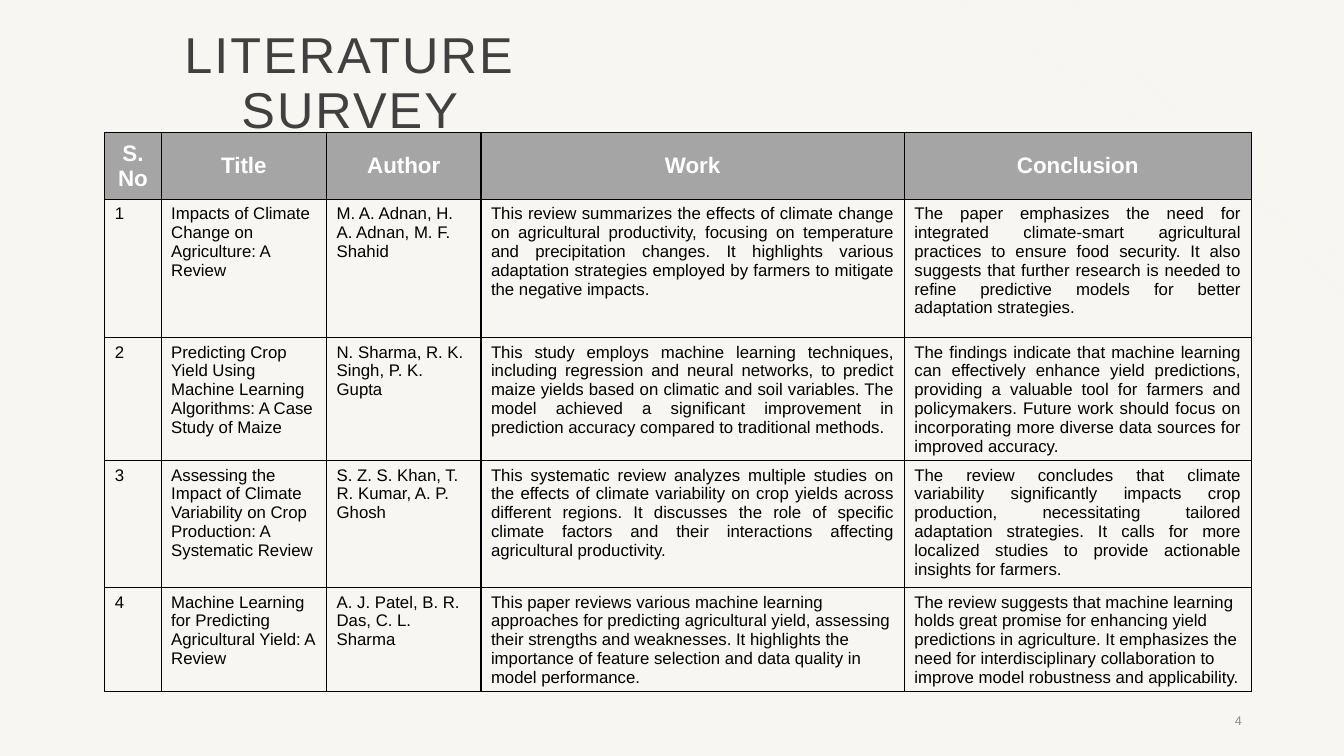
import pptx
import pptx.dml.color
import pptx.enum.shapes
import pptx.enum.text
import pptx.oxml
import pptx.oxml.ns
import pptx.util

Cm = pptx.util.Cm
Pt = pptx.util.Pt
Align = pptx.enum.text.PP_ALIGN
Anchor = pptx.enum.text.MSO_ANCHOR

COLUMN_WIDTHS = [1.42, 4.17, 3.89, 10.67, 8.74]
ROW_HEIGHTS = [1.7, 3.48, 2.84, 3.2, 2.57]
HEADINGS = ["S. No", "Title", "Author", "Work", "Conclusion"]
PAPERS = [
    ("Impacts of Climate Change on Agriculture: A Review",
     "M. A. Adnan, H. A. Adnan, M. F. Shahid",
     "This review summarizes the effects of climate change on agricultural productivity, "
     "focusing on temperature and precipitation changes. It highlights various adaptation "
     "strategies employed by farmers to mitigate the negative impacts.",
     "The paper emphasizes the need for integrated climate-smart agricultural practices to "
     "ensure food security. It also suggests that further research is needed to refine "
     "predictive models for better adaptation strategies."),
    ("Predicting Crop Yield Using Machine Learning Algorithms: A Case Study of Maize",
     "N. Sharma, R. K. Singh, P. K. Gupta",
     "This study employs machine learning techniques, including regression and neural "
     "networks, to predict maize yields based on climatic and soil variables. The model "
     "achieved a significant improvement in prediction accuracy compared to traditional "
     "methods.",
     "The findings indicate that machine learning can effectively enhance yield predictions, "
     "providing a valuable tool for farmers and policymakers. Future work should focus on "
     "incorporating more diverse data sources for improved accuracy."),
    ("Assessing the Impact of Climate Variability on Crop Production: A Systematic Review",
     "S. Z. S. Khan, T. R. Kumar, A. P. Ghosh",
     "This systematic review analyzes multiple studies on the effects of climate variability "
     "on crop yields across different regions. It discusses the role of specific climate "
     "factors and their interactions affecting agricultural productivity.",
     "The review concludes that climate variability significantly impacts crop production, "
     "necessitating tailored adaptation strategies. It calls for more localized studies to "
     "provide actionable insights for farmers."),
    ("Machine Learning for Predicting Agricultural Yield: A Review",
     "A. J. Patel, B. R. Das, C. L. Sharma",
     "This paper reviews various machine learning approaches for predicting agricultural "
     "yield, assessing their strengths and weaknesses. It highlights the importance of "
     "feature selection and data quality in model performance.",
     "The review suggests that machine learning holds great promise for enhancing yield "
     "predictions in agriculture. It emphasizes the need for interdisciplinary collaboration "
     "to improve model robustness and applicability."),
]


def rgb(value):
    """Return the colour for a hex string."""
    return pptx.dml.color.RGBColor.from_string(value)


def write(frame, text, size, color, align, anchor, bold=False):
    """Fill a text frame with one formatted paragraph and return the paragraph."""
    frame.text = text
    frame.word_wrap = True
    frame.vertical_anchor = anchor
    paragraph = frame.paragraphs[0]
    paragraph.alignment = align
    font = paragraph.runs[0].font
    font.name, font.size, font.bold = "Arial", Pt(size), bold
    font.color.rgb = rgb(color)
    return paragraph


def add_corner_lines(slide, left, top, width, height):
    """Draw two faint slanting lines that end at the right edge of the box."""
    for start, drop in [(0, height * 0.87), (width * 0.295, height)]:
        ray = slide.shapes.add_connector(
            pptx.enum.shapes.MSO_CONNECTOR.STRAIGHT,
            Cm(left + start), Cm(top), Cm(left + width), Cm(top + drop))
        ray.line.color.rgb = rgb("FBF4EF")
        ray.line.width = Pt(0.5)
        pptx.oxml.ns.qn("a:effectLst")
        ray._element.spPr.append(pptx.oxml.parse_xml(
            f"<a:effectLst {pptx.oxml.ns.nsdecls('a')}/>"))


def add_heading(slide, left, top, width, height):
    """Place and format the title placeholder."""
    heading = slide.shapes.title
    heading.left, heading.top = Cm(left), Cm(top)
    heading.width, heading.height = Cm(width), Cm(height)
    heading.text_frame.auto_size = pptx.enum.text.MSO_AUTO_SIZE.NONE
    paragraph = write(heading.text_frame, "LITERATURE SURVEY", 36, "404040",
                      Align.CENTER, Anchor.MIDDLE)
    paragraph.line_spacing = 0.9
    paragraph.runs[0].font._element.set("spc", "150")


def add_borders(cell):
    """Give a cell a thin black line on all four sides."""
    for position, side in enumerate("LRTB"):
        border = pptx.oxml.parse_xml(
            f"<a:ln{side} {pptx.oxml.ns.nsdecls('a')} w='12700'><a:solidFill>"
            f"<a:srgbClr val='000000'/></a:solidFill></a:ln{side}>")
        cell._tc.get_or_add_tcPr().insert(position, border)


def add_survey(slide, left, top, width, height):
    """Add the table of surveyed papers."""
    entries = [HEADINGS] + [(str(n), *paper) for n, paper in enumerate(PAPERS, 1)]
    survey = slide.shapes.add_table(
        len(entries), len(HEADINGS), Cm(left), Cm(top), Cm(width), Cm(height)).table
    for column, column_width in zip(survey.columns, COLUMN_WIDTHS):
        column.width = Cm(column_width)
    for row, row_height in zip(survey.rows, ROW_HEIGHTS):
        row.height = Cm(row_height)
    for r, entry in enumerate(entries):
        for c, text in enumerate(entry):
            cell = survey.cell(r, c)
            if r == 0:
                cell.fill.solid()
                cell.fill.fore_color.rgb = rgb("A5A5A5")
                write(cell.text_frame, text, 16, "FFFFFF", Align.CENTER, None, True)
                cell.vertical_anchor = Anchor.MIDDLE
            else:
                cell.fill.background()
                justified = c >= 3 and r < len(PAPERS)
                write(cell.text_frame, text, 12, "000000",
                      Align.JUSTIFY if justified else Align.LEFT, None)
            add_borders(cell)


def add_page_number(slide, left, top, width, height):
    """Add the page number at the right of the box."""
    number = slide.shapes.add_textbox(Cm(left), Cm(top), Cm(width), Cm(height))
    write(number.text_frame, "4", 9, "8C8C8C", Align.RIGHT, Anchor.MIDDLE)


def main():
    """Build the slide and save it."""
    deck = pptx.Presentation()
    deck.slide_width, deck.slide_height = Cm(33.87), Cm(19.05)
    slide = deck.slides.add_slide(deck.slide_layouts[5])
    slide.background.fill.solid()
    slide.background.fill.fore_color.rgb = rgb("F7F6F3")
    add_corner_lines(slide, 24.13, 0, 9.74, 7.5)
    add_heading(slide, 2.16, 1.27, 13.31, 1.73)
    add_survey(slide, 2.64, 3.33, sum(COLUMN_WIDTHS), sum(ROW_HEIGHTS))
    add_page_number(slide, 23.93, 17.65, 7.62, 1.02)
    deck.save("out.pptx")


if __name__ == "__main__":
    main()
